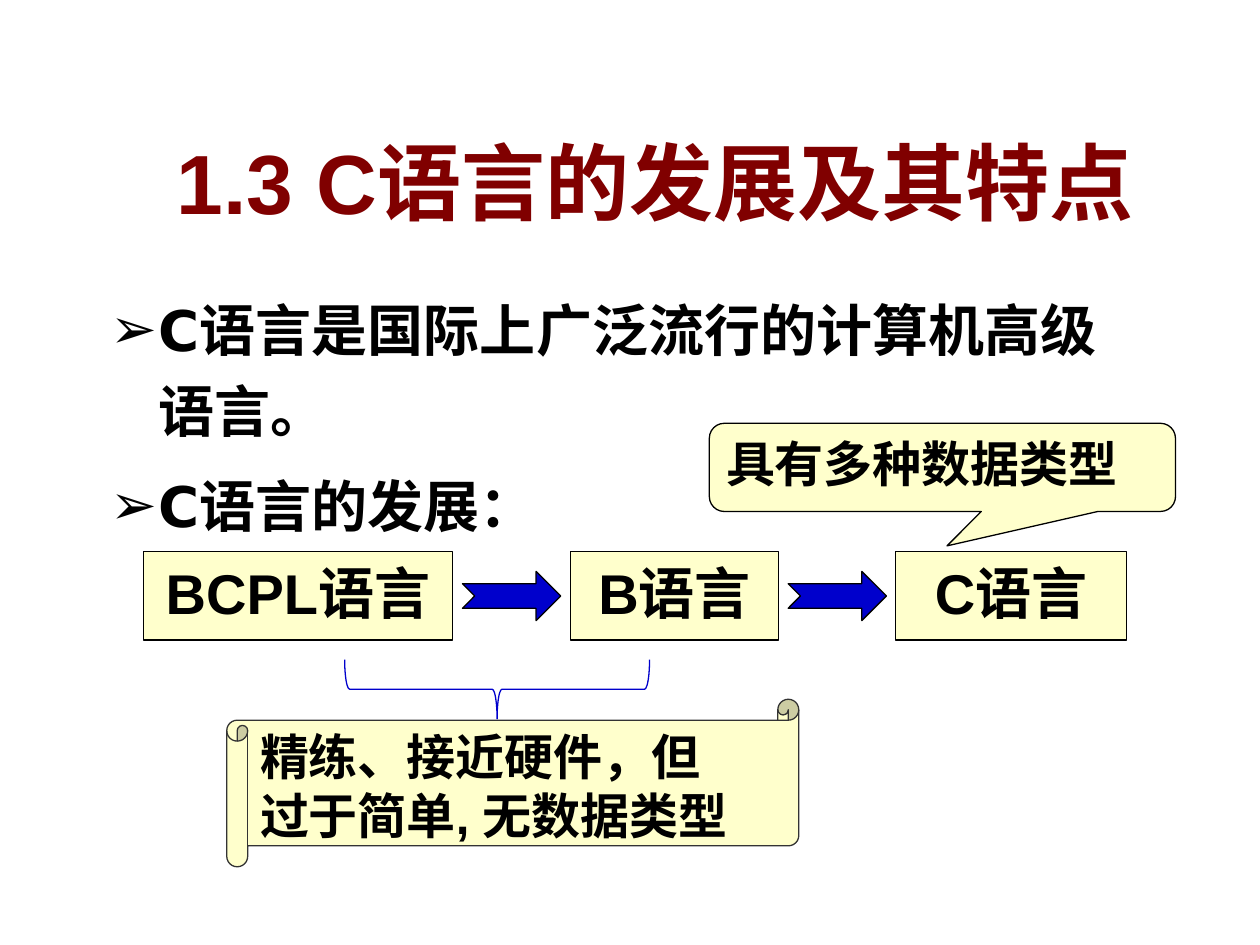
from pptx import Presentation
from pptx.dml.color import RGBColor
from pptx.enum.shapes import MSO_SHAPE as Shape
from pptx.enum.text import MSO_ANCHOR as Anchor, MSO_AUTO_SIZE as AutoSize, PP_ALIGN as Align
from pptx.oxml import parse_xml
from pptx.oxml.ns import nsdecls
from pptx.util import Inches, Pt

MAROON = RGBColor(0x80, 0x00, 0x00)
BLACK = RGBColor(0x00, 0x00, 0x00)
CREAM = RGBColor(0xFF, 0xFF, 0xCC)
BLUE = RGBColor(0x00, 0x00, 0xCC)
DARK_GRAY = RGBColor(0x33, 0x33, 0x33)

ROW_TOP, BOX_HEIGHT = 4.38, 0.7
ARROW_WIDTH, ARROW_HEIGHT = 0.78, 0.39
LANGUAGES = [("BCPL语言", 1.14, 2.45), ("B语言", 4.53, 1.65), ("C语言", 7.11, 1.83)]
POINTS = ["C语言是国际上广泛流行的计算机高级语言。", "C语言的发展："]


def set_values(target, values):
    for name, value in values.items():
        setattr(target, name, value)


def place(shape, left, top, width, height):
    set_values(shape, {"left": Inches(left), "top": Inches(top),
                       "width": Inches(width), "height": Inches(height)})


def write_lines(frame, lines, size, font="Arial", color=BLACK, **para_format):
    """Put each line in its own bold paragraph and return the paragraphs."""
    frame.text = "\n".join(lines)
    for para in frame.paragraphs:
        set_values(para, para_format)
        for span in para.runs:
            set_values(span.font, {"size": Pt(size), "name": font, "bold": True})
            span.font.color.rgb = color
    return frame.paragraphs


def add_text_shadow(span):
    span.font._element.find(".//{*}solidFill").addnext(parse_xml(
        f'<a:effectLst {nsdecls("a")}><a:outerShdw dist="38100" dir="2700000">'
        '<a:srgbClr val="C0C0C0"/></a:outerShdw></a:effectLst>'))


def add_bullet(para):
    properties = para._p.get_or_add_pPr()
    set_values_for_indent = {"marL": Inches(0.38), "indent": -Inches(0.38)}
    for name, value in set_values_for_indent.items():
        properties.set(name, str(value))
    for markup in ('<a:buClr {}><a:srgbClr val="000000"/></a:buClr>',
                   '<a:buChar {} char="➢"/>'):
        properties.append(parse_xml(markup.format(nsdecls("a"))))


def fill_title(title):
    place(title, 1.02, 0.86, 8.36, 1.03)
    set_values(title.text_frame, {"auto_size": AutoSize.NONE, "vertical_anchor": Anchor.BOTTOM})
    title_para, = write_lines(title.text_frame, ["1.3 C语言的发展及其特点"], 48,
                              color=MAROON, alignment=Align.CENTER)
    add_text_shadow(title_para.runs[0])


def fill_body(body):
    place(body, 0.78, 2.19, 8.35, 2.34)
    body.text_frame.auto_size = AutoSize.NONE
    paras = write_lines(body.text_frame, POINTS, 32, font="DejaVu Sans",
                        line_spacing=1.2, space_before=Pt(8))
    paras[0].space_before = Pt(0)
    for para in paras:
        add_bullet(para)


def add_figure(slide, kind, left, top, width, height, fill=CREAM, line=BLACK):
    figure = slide.shapes.add_shape(kind, Inches(left), Inches(top),
                                    Inches(width), Inches(height))
    figure.shadow.inherit = False
    if fill is None:
        figure.fill.background()
    else:
        figure.fill.solid()
        figure.fill.fore_color.rgb = fill
    figure.line.color.rgb = line
    figure.line.width = Pt(0.75)
    return figure


def add_label(figure, lines, size, alignment=Align.LEFT):
    set_values(figure.text_frame, {"word_wrap": False, "vertical_anchor": Anchor.TOP})
    write_lines(figure.text_frame, lines, size, alignment=alignment)


def add_language_row(slide):
    for name, left, width in LANGUAGES:
        box = add_figure(slide, Shape.FLOWCHART_PROCESS, left, ROW_TOP, width, BOX_HEIGHT)
        add_label(box, [name], 32, Align.CENTER)
    arrow_top = ROW_TOP + (BOX_HEIGHT - ARROW_HEIGHT) / 2
    for (_, left, width), (_, next_left, _) in zip(LANGUAGES, LANGUAGES[1:]):
        arrow_left = (left + width + next_left - ARROW_WIDTH) / 2
        add_figure(slide, Shape.NOTCHED_RIGHT_ARROW, arrow_left, arrow_top,
                   ARROW_WIDTH, ARROW_HEIGHT, fill=BLUE)


def add_remarks(slide):
    brace = add_figure(slide, Shape.RIGHT_BRACE, 3.71, 4.26, 0.47, 2.42, fill=None, line=BLUE)
    brace.rotation = 90
    scroll = add_figure(slide, Shape.HORIZONTAL_SCROLL, 1.8, 5.55, 4.54, 1.33, line=DARK_GRAY)
    add_label(scroll, ["精练、接近硬件，但", "过于简单, 无数据类型"], 28)
    callout = add_figure(slide, Shape.ROUNDED_RECTANGULAR_CALLOUT, 5.63, 3.36, 3.7, 0.7)
    for index, value in enumerate((0.01, 0.89, 0.17)):
        callout.adjustments[index] = value
    add_label(callout, ["具有多种数据类型"], 28)


def main():
    deck = Presentation()
    set_values(deck, {"slide_width": Inches(10), "slide_height": Inches(7.5)})
    slide = deck.slides.add_slide(deck.slide_layouts[1])
    fill_title(slide.shapes.title)
    fill_body(slide.placeholders[1])
    add_language_row(slide)
    add_remarks(slide)
    deck.save("out.pptx")


if __name__ == "__main__":
    main()
